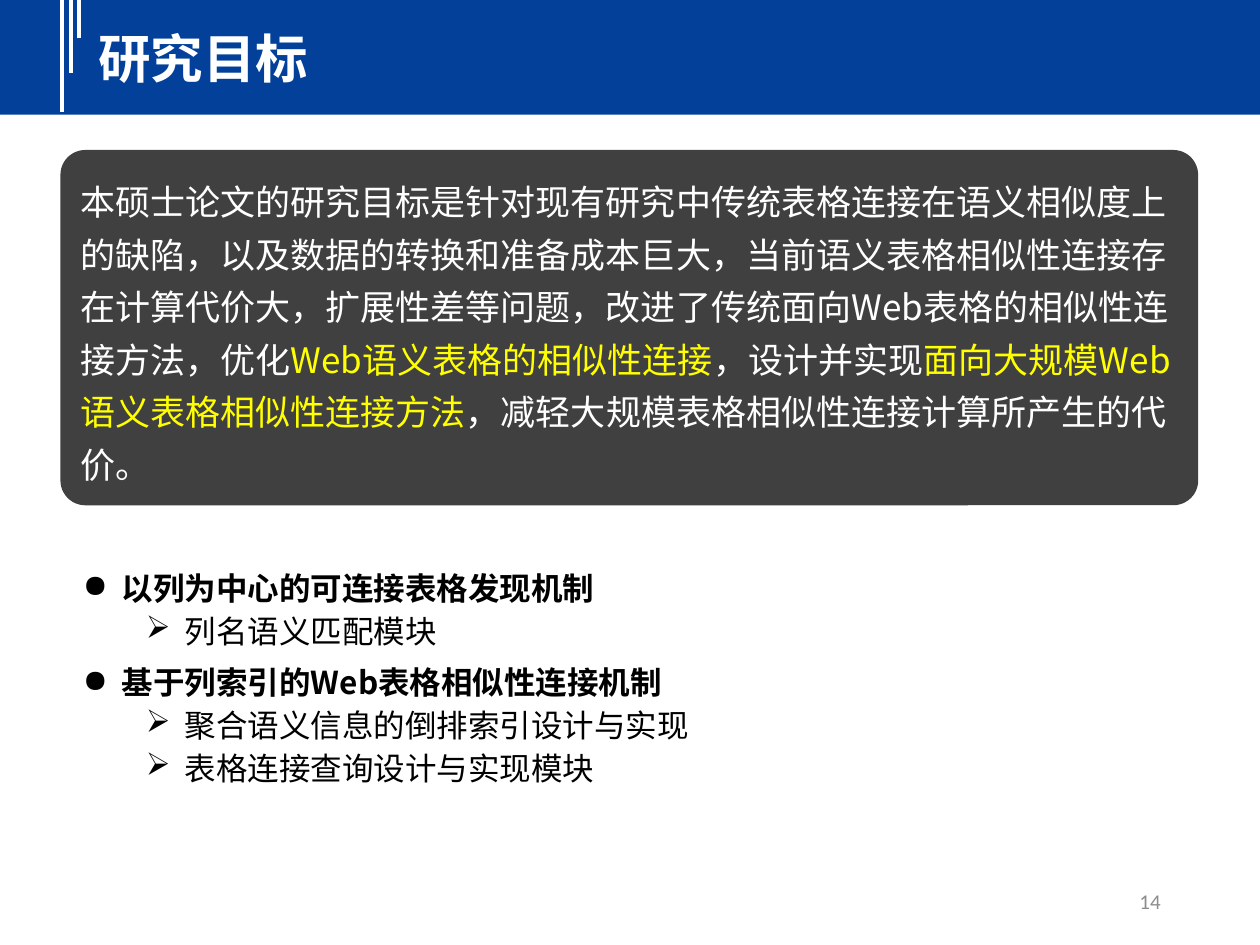
import pptx
import pptx.util
import pptx.dml.color
import pptx.enum.shapes
import pptx.enum.text
import pptx.oxml.ns
import lxml.etree

Inches = pptx.util.Inches
Pt = pptx.util.Pt
Shape = pptx.enum.shapes.MSO_SHAPE
Align = pptx.enum.text.PP_ALIGN
Anchor = pptx.enum.text.MSO_ANCHOR
qn = pptx.oxml.ns.qn

HAN = "Noto Sans CJK SC"
WHITE, YELLOW, BLACK = "FFFFFF", "FFFF00", "000000"

GOAL = [
    ("本硕士论文的研究目标是针对现有研究中传统表格连接在语义相似度上的缺陷，"
     "以及数据的转换和准备成本巨大，当前语义表格相似性连接存在计算代价大，"
     "扩展性差等问题，改进了传统面向Web表格的相似性连接方法，优化", WHITE),
    ("Web语义表格的相似性连接", YELLOW),
    ("，设计并实现", WHITE),
    ("面向大规模Web语义表格相似性连接方法", YELLOW),
    ("，减轻大规模表格相似性连接计算所产生的代价。", WHITE),
]
POINTS = [
    (0, "以列为中心的可连接表格发现机制"),
    (1, "列名语义匹配模块"),
    (0, "基于列索引的Web表格相似性连接机制"),
    (1, "聚合语义信息的倒排索引设计与实现"),
    (1, "表格连接查询设计与实现模块"),
]


def color(code):
    return pptx.dml.color.RGBColor.from_string(code)


def add_run(para, text, size, code, bold=False, face=HAN):
    run = para.add_run()
    run.text = text
    font = run.font
    font.size, font.bold, font.name = Pt(size), bold, face
    font.color.rgb = color(code)
    east = lxml.etree.SubElement(run._r.get_or_add_rPr(), qn("a:ea"))
    east.set("typeface", face)


def add_box(slide, box, anchor=Anchor.TOP):
    frame = slide.shapes.add_textbox(*map(Inches, box)).text_frame
    frame.word_wrap = True
    frame.vertical_anchor = anchor
    return frame


def add_panel(slide, kind, box, code):
    shape = slide.shapes.add_shape(kind, *map(Inches, box))
    shape.shadow.inherit = False
    shape.fill.solid()
    shape.fill.fore_color.rgb = color(code)
    shape.line.fill.background()
    return shape


def add_bullet(para, mark, left, hang):
    props = para._p.get_or_add_pPr()
    props.set("marL", str(Inches(left)))
    props.set("indent", str(-Inches(hang)))
    lxml.etree.SubElement(props, qn("a:buChar")).set("char", mark)


def draw_header(slide, box):
    left, top, width, height = box
    add_panel(slide, Shape.RECTANGLE, box, "02409A")
    # Three stripes, each shorter than the last
    for i, length in enumerate((0.92, 0.61, 0.33)):
        x = Inches(left + 0.49 + 0.07 * i)
        line = slide.shapes.add_connector(
            pptx.enum.shapes.MSO_CONNECTOR.STRAIGHT,
            x, Inches(top), x, Inches(top + length))
        line.line.color.rgb = color(WHITE)
        line.line.width = Pt(2.25)
        lxml.etree.SubElement(line._element.spPr, qn("a:effectLst"))
    # Title
    frame = add_box(slide, (left + 0.68, top + 0.19, width - 0.88, 0.61))
    add_run(frame.paragraphs[0], "研究目标", 30, WHITE, True)


def draw_goal(slide, box):
    panel = add_panel(slide, Shape.ROUNDED_RECTANGLE, box, "404040")
    panel.adjustments[0] = 0.07
    frame = panel.text_frame
    frame.word_wrap = True
    frame.vertical_anchor = Anchor.MIDDLE
    para = frame.paragraphs[0]
    para.alignment = Align.LEFT
    para.line_spacing = 1.25
    for text, code in GOAL:
        add_run(para, text, 20, code)


def draw_points(slide, box):
    frame = add_box(slide, box)
    for i, (level, text) in enumerate(POINTS):
        para = frame.add_paragraph() if i else frame.paragraphs[0]
        para.level = level
        add_bullet(para, "●➢"[level], 0.31 + 0.5 * level, 0.31)
        para.line_spacing = 0.9
        if i:
            para.space_before = Pt(5 if level else 10)
        add_run(para, text, 18, BLACK, level == 0)


def draw_number(slide, box):
    para = add_box(slide, box, Anchor.MIDDLE).paragraphs[0]
    para.alignment = Align.RIGHT
    add_run(para, "14", 12, "8C8C8C", face="Calibri")


def main():
    deck = pptx.Presentation()
    deck.slide_width, deck.slide_height = Inches(10), Inches(7.5)
    slide = deck.slides.add_slide(deck.slide_layouts[6])
    draw_header(slide, (0, -0.03, 10, 0.94))
    draw_number(slide, (7.06, 6.95, 2.25, 0.4))
    draw_points(slide, (0.56, 4.5, 7.38, 2.42))
    draw_goal(slide, (0.48, 1.19, 9.03, 2.82))
    deck.save("out.pptx")


if __name__ == "__main__":
    main()
